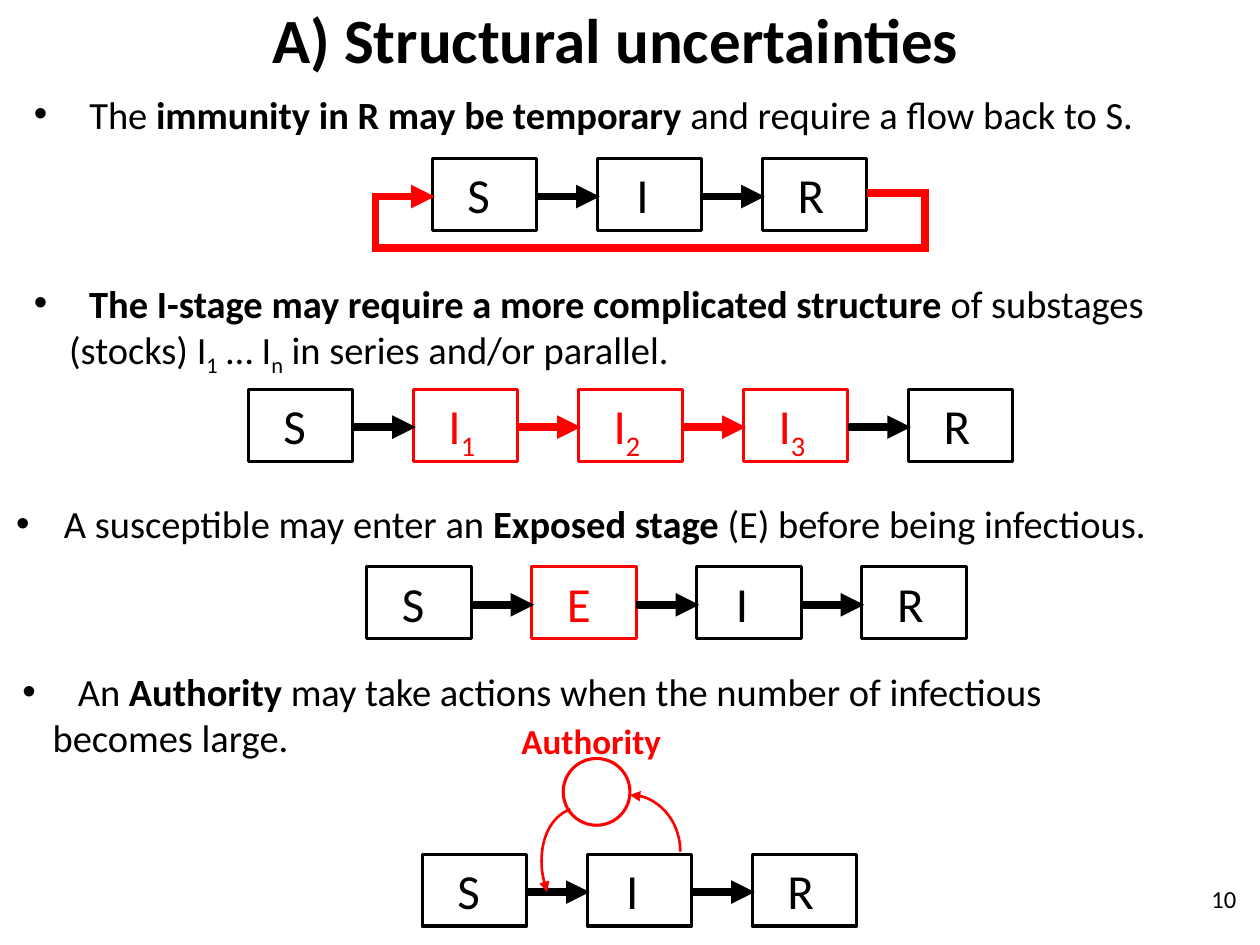
from pptx import Presentation
from pptx.dml.color import RGBColor
from pptx.enum.shapes import MSO_CONNECTOR as Connector, MSO_SHAPE as Shape
from pptx.enum.text import MSO_ANCHOR as Anchor, MSO_AUTO_SIZE as AutoSize, PP_ALIGN as Align
from pptx.oxml.ns import qn
from pptx.util import Inches, Pt
from lxml.etree import SubElement

COLORS = {"ink": "000000", "change": "FF0000"}
FONT = "Calibri"
STAGE_W, STAGE_H = 0.83, 0.57
PITCH = 1.31
FLOW_Y = 0.3  # height of the arrows below the top of a stage
FLOW_LENGTH = 0.5


def rgb(name):
    return RGBColor.from_string(COLORS[name])


def write(paragraph, runs, size, color="ink", bold=False):
    """Write (text, style) runs; a style is "", "bold" or "sub"."""
    font = paragraph.font
    font.name, font.size, font.bold = FONT, Pt(size), bold
    font.color.rgb = rgb(color)
    for text, style in runs:
        run = paragraph.add_run()
        run.text = text
        if style == "bold":
            run.font.bold = True
        elif style == "sub":
            run.font._element.set("baseline", "-25000")


def add_text(slide, left, top, width, height):
    box = slide.shapes.add_textbox(Inches(left), Inches(top), Inches(width), Inches(height))
    box.text_frame.word_wrap = True
    return box.text_frame


def add_point(slide, left, top, width, lines, hang=0.44, continued=0.28):
    """Bulleted first line, then lines indented by `continued`."""
    frame = add_text(slide, left, top, width, 0.1 + 0.37 * len(lines))
    for i, runs in enumerate(lines):
        paragraph = frame.add_paragraph() if i else frame.paragraphs[0]
        write(paragraph, runs, 22)
        props = paragraph._p.get_or_add_pPr()
        props.set("marL", str(Inches(continued if i else hang)))
        props.set("indent", str(0 if i else -Inches(hang)))
        if i == 0:
            SubElement(props, qn("a:buFont")).set("typeface", "Arial")
            SubElement(props, qn("a:buChar")).set("char", "•")
            props.append(props.find(qn("a:defRPr")))


def add_arrowhead(line, end):
    SubElement(line._get_or_add_ln(), qn(f"a:{end}")).set("type", "triangle")


def add_flow(slide, start, end, color="ink", arrow=True):
    flow = slide.shapes.add_connector(Connector.STRAIGHT, *map(Inches, start + end))
    flow.line.color.rgb = rgb(color)
    flow.line.width = Pt(4.5)
    if arrow:
        add_arrowhead(flow.line, "tailEnd")
    SubElement(flow._element.spPr, qn("a:effectLst"))


def add_outline(slide, kind, left, top, width, height, color="change", weight=1.75):
    outline = slide.shapes.add_shape(kind, Inches(left), Inches(top), Inches(width), Inches(height))
    outline.shadow.inherit = False
    outline.fill.background()
    outline.line.color.rgb = rgb(color)
    outline.line.width = Pt(weight)
    return outline


def add_stage(slide, left, top, label, color):
    stage = add_outline(slide, Shape.RECTANGLE, left, top, STAGE_W, STAGE_H, color)
    frame = stage.text_frame
    frame.word_wrap = False
    frame.vertical_anchor = Anchor.TOP
    frame.margin_left = Inches(0.31 if label == "I" else 0.28)
    runs = [(label[0], "")] + [(digit, "sub") for digit in label[1:]]
    write(frame.paragraphs[0], runs, 28, color)
    frame.paragraphs[0].alignment = Align.LEFT


def add_chain(slide, left, top, labels, added=(), red_flows=()):
    """Stages at equal steps, each joined to the next by an arrow."""
    for i, label in enumerate(labels):
        add_stage(slide, left + i * PITCH, top, label, "change" if label in added else "ink")
    y = top + FLOW_Y
    for i in range(len(labels) - 1):
        x = left + i * PITCH + STAGE_W
        add_flow(slide, (x, y), (x + FLOW_LENGTH, y), "change" if i in red_flows else "ink")


def add_return_flow(slide, left, top):
    """Red loop from the last of three stages back to the first."""
    y, bottom = top + FLOW_Y, top + 0.71
    out = left + 2 * PITCH + STAGE_W
    right, back = out + 0.46, left - 0.45
    half = 0.03  # half the line's width closes the corners
    add_flow(slide, (left - 0.48, y), (left + 0.02, y), "change")
    for start, end in (
        ((out, y - half), (right + half, y - half)),
        ((right, y - half), (right, bottom + half)),
        ((right, bottom), (back - half, bottom)),
        ((back, bottom), (back, y)),
    ):
        add_flow(slide, start, end, "change", arrow=False)


def add_authority(slide, left, top):
    """Authority above a chain, watching I and acting on the flow out of S."""
    add_outline(slide, Shape.OVAL, left + 1.12, top - 0.76, 0.53, 0.53)
    label = add_text(slide, left + 0.69, top - 1.12, 1.47, 0.44)
    write(label.paragraphs[0], [("Authority", "")], 20, "change", bold=True)
    watching = (left + 1.25, top - 0.47, 0.8, 0.9, 0)
    acting = (left + 0.81, top - 0.23, 1.11, 0.79, 250.1)
    for *box, rotation in (watching, acting):
        arc = add_outline(slide, Shape.ARC, *box, weight=1.5)
        arc.rotation = rotation
        add_arrowhead(arc.line, "headEnd")


def add_title(slide):
    title = slide.shapes.title
    title.left, title.top, title.width, title.height = map(Inches, (0.44, 0.08, 8.89, 0.45))
    frame = title.text_frame
    frame.auto_size = AutoSize.NONE
    frame.vertical_anchor = Anchor.MIDDLE
    write(frame.paragraphs[0], [("A) Structural uncertainties", "")], 36, bold=True)
    frame.paragraphs[0].alignment = Align.CENTER


def add_page_number(slide):
    number = add_text(slide, 9.45, 6.97, 0.46, 0.5).paragraphs[0]
    write(number, [("10", "")], 14)
    number.alignment = Align.RIGHT


def main():
    prs = Presentation()
    prs.slide_width, prs.slide_height = Inches(10), Inches(7.5)
    slide = prs.slides.add_slide(prs.slide_layouts[5])
    add_title(slide)

    add_point(slide, 0.17, 0.67, 9.25, [[
        ("The ", ""), ("immunity in R may be temporary ", "bold"),
        ("and require a flow back to S.", "")]])
    add_chain(slide, 3.43, 1.26, ["S", "I", "R"])
    add_return_flow(slide, 3.43, 1.26)

    add_point(slide, 0.17, 2.17, 9.33, [
        [("The I-stage may require a more complicated structure ", "bold"), ("of substages", "")],
        [("(stocks) I", ""), ("1", "sub"), (" … I", ""), ("n", "sub"),
         (" in series and/or parallel.", "")]])
    substages = ["I1", "I2", "I3"]
    add_chain(slide, 1.97, 3.09, ["S", *substages, "R"], added=substages, red_flows=(1, 2))

    add_point(slide, 0.03, 3.92, 9.63, [[
        ("A susceptible may enter an ", ""), ("Exposed stage", "bold"),
        (" (E) before being infectious.", "")]], hang=0.38)
    add_chain(slide, 2.91, 4.5, ["S", "E", "I", "R"], added=["E"])

    add_point(slide, 0.08, 5.25, 9.34, [
        [("An ", ""), ("Authority", "bold"),
         (" may take actions when the number of infectious", "")],
        [("becomes large.", "")]], continued=0.24)
    add_chain(slide, 3.35, 6.78, ["S", "I", "R"])
    add_authority(slide, 3.35, 6.78)

    add_page_number(slide)
    prs.save("out.pptx")


if __name__ == "__main__":
    main()
